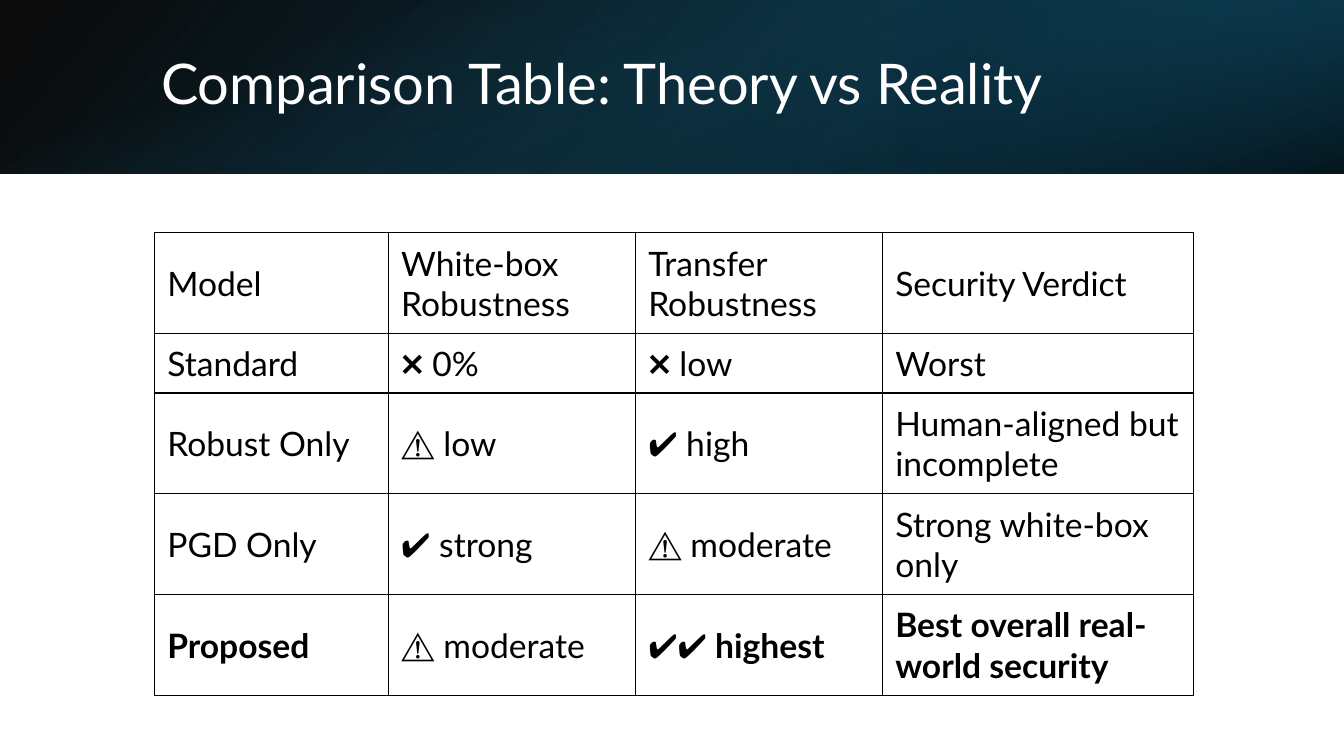
import pptx
import pptx.dml.color
import pptx.enum.shapes
import pptx.enum.text
import pptx.oxml
import pptx.oxml.ns
import pptx.util

Inches = pptx.util.Inches
WIDTH, HEIGHT = 13.33, 7.5
BAND = 1.72
NAMESPACE = pptx.oxml.ns.nsdecls("a")


def style_run(run, size, color, bold=False):
    run.font.name = "Lato"
    run.font.size = pptx.util.Pt(size)
    run.font.bold = bold
    run.font.color.rgb = pptx.dml.color.RGBColor.from_string(color)


def gradient_fill(stops, angle):
    """Return a linear gradient; each stop is position, colour and opacity in percent."""
    stop_xml = "".join(
        f'<a:gs pos="{position * 1000}"><a:srgbClr val="{color}">'
        f'<a:alpha val="{opacity * 1000}"/></a:srgbClr></a:gs>'
        for position, color, opacity in stops
    )
    return pptx.oxml.parse_xml(
        f'<a:gradFill {NAMESPACE} rotWithShape="1"><a:gsLst>{stop_xml}</a:gsLst>'
        f'<a:lin ang="{angle * 60000}" scaled="0"/></a:gradFill>'
    )


presentation = pptx.Presentation()
presentation.slide_width = Inches(WIDTH)
presentation.slide_height = Inches(HEIGHT)
slide = presentation.slides.add_slide(presentation.slide_layouts[6])

# Header band: three layered gradients
side = (WIDTH - BAND) / 2
header_layers = [
    ((0, 0, WIDTH, BAND), 0, True, [(0, "000000", 96), (100, "104862", 100)], 140),
    ((WIDTH * 2 / 3, 0, WIDTH / 3, BAND), 180, True,
     [(19, "0B3041", 68), (100, "156082", 79)], 320),
    ((side, -side, BAND, WIDTH), 90, False,
     [(23, "156082", 0), (99, "000000", 74)], 340),
]
for box, rotation, flipped, stops, angle in header_layers:
    layer = slide.shapes.add_shape(
        pptx.enum.shapes.MSO_SHAPE.RECTANGLE, *map(Inches, box))
    layer.shadow.inherit = False
    layer.line.fill.background()
    layer.rotation = rotation
    properties = layer._element.spPr
    if flipped:
        properties.xfrm.set("flipH", "1")
    properties.prstGeom.addnext(gradient_fill(stops, angle))

# Title
title = slide.shapes.add_textbox(*map(Inches, (1.5, 0.38, 10.98, 0.96)))
title.text_frame.word_wrap = True
title.text_frame.vertical_anchor = pptx.enum.text.MSO_ANCHOR.MIDDLE
title.text_frame.text = "Comparison Table: Theory vs Reality"
paragraph = title.text_frame.paragraphs[0]
paragraph.line_spacing = 0.9
style_run(paragraph.runs[0], 40, "FFFFFF")

# Comparison table
rows = [
    ["Model", "White-box Robustness", "Transfer Robustness", "Security Verdict"],
    ["Standard", "❌ 0%", "❌ low", "Worst"],
    ["Robust Only", "⚠️ low", "✔ high", "Human-aligned but incomplete"],
    ["PGD Only", "✔ strong", "⚠️ moderate", "Strong white-box only"],
    ["Proposed", "⚠️ moderate", "✔✔ highest", "Best overall real-world security"],
]
bold_texts = {rows[-1][0], rows[-1][2], rows[-1][3]}
column_widths = [2.32, 2.45, 2.45, 3.09]
row_heights = [1, 0.59, 1, 1, 1]

table = slide.shapes.add_table(
    len(rows), len(column_widths), Inches(1.53), Inches(2.31),
    Inches(sum(column_widths)), Inches(sum(row_heights))).table
table.first_row = False
table.horz_banding = False
for column, width in zip(table.columns, column_widths):
    column.width = Inches(width)
for row, height in zip(table.rows, row_heights):
    row.height = Inches(height)

for row, texts in zip(table.rows, rows):
    for cell, text in zip(row.cells, texts):
        cell.text_frame.text = text
        style_run(cell.text_frame.paragraphs[0].runs[0], 24, "000000", text in bold_texts)
        cell.vertical_anchor = pptx.enum.text.MSO_ANCHOR.MIDDLE
        cell.margin_left = cell.margin_right = Inches(0.13)
        cell.margin_top = cell.margin_bottom = Inches(0.07)
        cell.fill.background()
        for index, edge in enumerate("LRTB"):
            border = pptx.oxml.parse_xml(
                f'<a:ln{edge} {NAMESPACE} w="12700"><a:solidFill>'
                f'<a:srgbClr val="000000"/></a:solidFill></a:ln{edge}>')
            cell._tc.tcPr.insert(index, border)

presentation.save("out.pptx")
